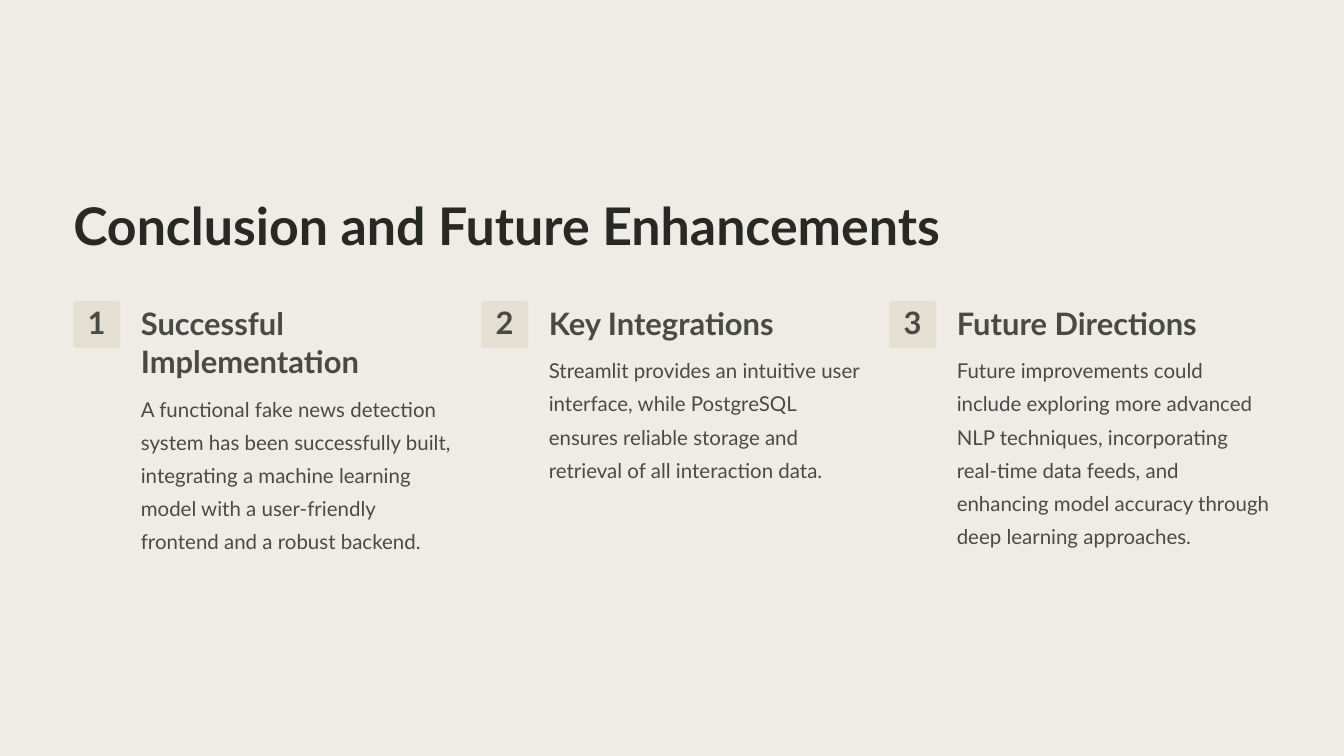
from dataclasses import dataclass

import pptx
import pptx.dml.color
import pptx.enum.shapes
import pptx.enum.text
import pptx.shapes.autoshape
import pptx.slide
import pptx.text.text
import pptx.util

Pt = pptx.util.Pt
RGBColor = pptx.dml.color.RGBColor
PP_ALIGN = pptx.enum.text.PP_ALIGN

CREAM = RGBColor(0xEF, 0xEC, 0xE6)
SAND = RGBColor(0xE5, 0xDF, 0xD2)
CHARCOAL = RGBColor(0x28, 0x28, 0x24)
GREY = RGBColor(0x4A, 0x4A, 0x45)

LEFT = 78.5
COLUMN_STEP = 437.1
BADGE_TOP = 322.4
BADGE_SIZE = 50.2
TEXT_INDENT = 72.4
TEXT_WIDTH = 337
HEADING_TOP = 324.7
HEADING_BODY_GAP = 8.5


@dataclass(frozen=True)
class TextStyle:
    size: float
    line: float
    color: RGBColor = GREY
    bold: bool = True
    align: PP_ALIGN = PP_ALIGN.LEFT


@dataclass(frozen=True)
class Point:
    heading: str
    heading_lines: int
    body: str
    body_lines: int


TITLE = TextStyle(55.6, 69.4, CHARCOAL)
NUMBER = TextStyle(33.1, 33.1, align=PP_ALIGN.CENTER)
HEADING = TextStyle(33.1, 41.2)
BODY = TextStyle(21.9, 35.6, bold=False)

POINTS = [
    Point("Successful Implementation", 2,
          "A functional fake news detection system has been successfully built, "
          "integrating a machine learning model with a user-friendly frontend "
          "and a robust backend.", 5),
    Point("Key Integrations", 1,
          "Streamlit provides an intuitive user interface, while PostgreSQL "
          "ensures reliable storage and retrieval of all interaction data.", 4),
    Point("Future Directions", 1,
          "Future improvements could include exploring more advanced NLP "
          "techniques, incorporating real-time data feeds, and enhancing model "
          "accuracy through deep learning approaches.", 6),
]


def write(frame: pptx.text.text.TextFrame, text: str, style: TextStyle,
          top_inset: float = 0) -> None:
    frame.word_wrap = True
    frame.auto_size = pptx.enum.text.MSO_AUTO_SIZE.NONE
    frame.vertical_anchor = pptx.enum.text.MSO_ANCHOR.TOP
    frame.margin_left = frame.margin_right = frame.margin_bottom = 0
    frame.margin_top = Pt(top_inset)
    paragraph = frame.paragraphs[0]
    paragraph.alignment = style.align
    paragraph.line_spacing = Pt(style.line)
    paragraph.space_before = Pt(0)
    run = paragraph.add_run()
    run.text = text
    run.font.name = "Lato"
    run.font.size = Pt(style.size)
    run.font.bold = style.bold
    run.font.color.rgb = style.color


def add_title(slide: pptx.slide.Slide, text: str) -> None:
    title = slide.shapes.title
    title.left, title.top = Pt(LEFT), Pt(205.2)
    title.width, title.height = Pt(936.7), Pt(72.7)
    write(title.text_frame, text, TITLE)


def add_badge(slide: pptx.slide.Slide, left: float, number: int) -> None:
    badge = slide.shapes.add_shape(
        pptx.enum.shapes.MSO_SHAPE.ROUNDED_RECTANGLE,
        Pt(left), Pt(BADGE_TOP), Pt(BADGE_SIZE), Pt(BADGE_SIZE))
    badge.adjustments[0] = 0.06
    badge.shadow.inherit = False
    badge.fill.solid()
    badge.fill.fore_color.rgb = SAND
    badge.line.fill.background()
    write(badge.text_frame, str(number), NUMBER, top_inset=8.8)


def add_text(slide: pptx.slide.Slide, left: float, top: float, lines: int,
             text: str, style: TextStyle) -> None:
    box = slide.shapes.add_textbox(
        Pt(left), Pt(top), Pt(TEXT_WIDTH), Pt(lines * style.line))
    write(box.text_frame, text, style)


def add_point(slide: pptx.slide.Slide, index: int, point: Point) -> None:
    left = LEFT + index * COLUMN_STEP
    text_left = left + TEXT_INDENT
    body_top = HEADING_TOP + point.heading_lines * HEADING.line + HEADING_BODY_GAP
    add_badge(slide, left, index + 1)
    add_text(slide, text_left, HEADING_TOP, point.heading_lines, point.heading, HEADING)
    add_text(slide, text_left, body_top, point.body_lines, point.body, BODY)


def main() -> None:
    deck = pptx.Presentation()
    deck.slide_width, deck.slide_height = Pt(1440), Pt(810)
    slide = deck.slides.add_slide(deck.slide_layouts.get_by_name("Title Only"))
    slide.background.fill.solid()
    slide.background.fill.fore_color.rgb = CREAM
    add_title(slide, "Conclusion and Future Enhancements")
    for index, point in enumerate(POINTS):
        add_point(slide, index, point)
    deck.save("out.pptx")


if __name__ == "__main__":
    main()
